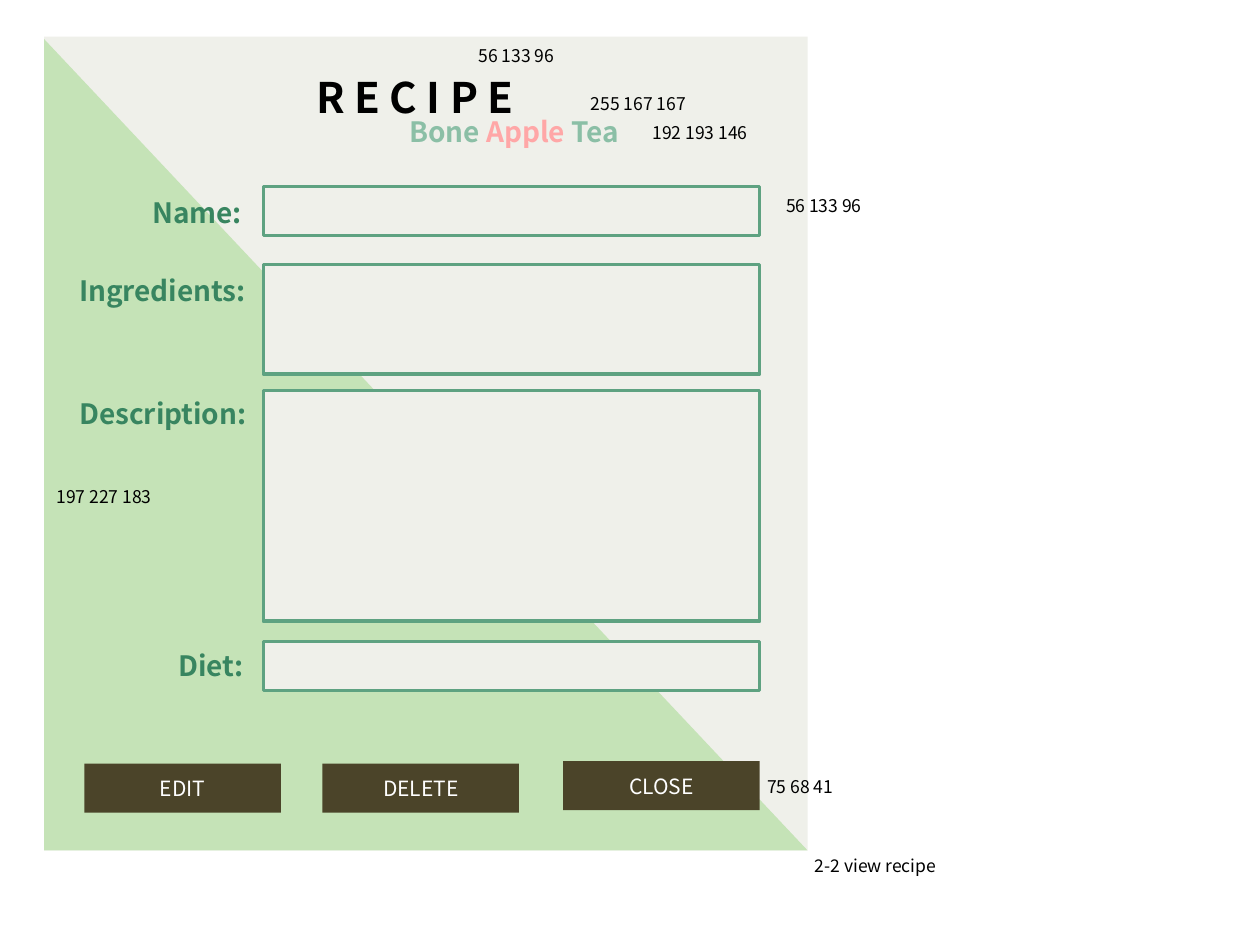
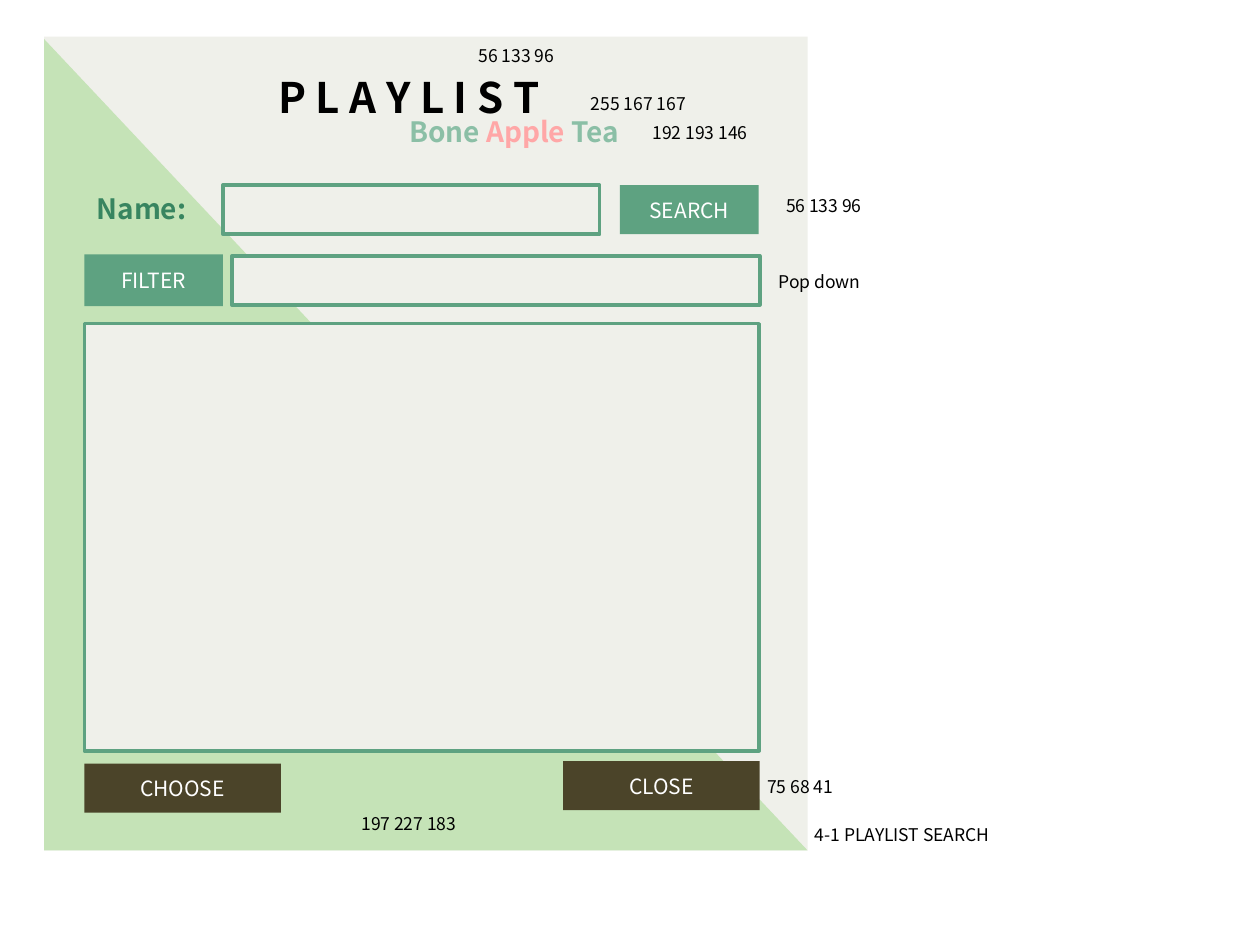
"""Build two screen mock-ups of a recipe app: recipe view and playlist search."""
from dataclasses import dataclass
from typing import Optional

from pptx import Presentation
from pptx.dml.color import RGBColor
from pptx.enum import shapes, text
from pptx.util import Pt

FONT = "Noto Sans CJK KR"
BLACK = RGBColor(0x00, 0x00, 0x00)
WHITE = RGBColor(0xFF, 0xFF, 0xFF)
PAPER = RGBColor(0xEF, 0xF0, 0xEA)
LEAF = RGBColor(0xC5, 0xE3, 0xB7)
GREEN = RGBColor(0x38, 0x85, 0x60)
SAGE = RGBColor(0x5E, 0xA2, 0x81)
MINT = RGBColor(0x8B, 0xBF, 0xA6)
PINK = RGBColor(0xFF, 0xA7, 0xA7)
BROWN = RGBColor(0x4B, 0x44, 0x29)

RECT = shapes.MSO_SHAPE.RECTANGLE
WEDGE = shapes.MSO_SHAPE.RIGHT_TRIANGLE
EDGE = 48.2
FIELD = 150.5
SPAN = 283.7
ROW = 28.1
WIDE = 112.3
SLIM = 79.2


@dataclass(frozen=True)
class Box:
    x: float
    y: float
    w: float
    h: float

    def place(self) -> tuple:
        return Pt(self.x), Pt(self.y), Pt(self.w), Pt(self.h)


@dataclass(frozen=True)
class Note:
    words: str
    x: float
    y: float
    w: float


@dataclass(frozen=True)
class Label:
    words: str
    x: float
    y: float
    w: float


@dataclass(frozen=True)
class Button:
    words: str
    box: Box
    fill: RGBColor = BROWN


@dataclass(frozen=True)
class Screen:
    title: str
    head: Box
    labels: list[Label]
    fields: list[Box]
    buttons: list[Button]
    notes: list[Note]


def style(para, size: float, color: Optional[RGBColor], bold: bool = False) -> None:
    font = para.font
    font.name, font.size, font.bold = FONT, Pt(size), bold
    if color is not None:
        font.color.rgb = color


def draw_shape(slide, kind, box: Box, fill: RGBColor, line: Optional[RGBColor] = None):
    shape = slide.shapes.add_shape(kind, *box.place())
    shape.shadow.inherit = False
    shape.fill.solid()
    shape.fill.fore_color.rgb = fill
    if line is None:
        shape.line.fill.background()
    else:
        shape.line.color.rgb = line
        shape.line.width = Pt(2)
    return shape


def add_box(slide, box: Box, wrap: bool = True):
    frame = slide.shapes.add_textbox(*box.place()).text_frame
    frame.word_wrap = wrap
    frame.auto_size = text.MSO_AUTO_SIZE.SHAPE_TO_FIT_TEXT
    return frame.paragraphs[0]


def draw_title(slide, words: str, box: Box) -> None:
    title = slide.shapes.title
    title.left, title.top, title.width, title.height = box.place()
    frame = title.text_frame
    frame.text = words
    frame.word_wrap = True
    frame.auto_size = text.MSO_AUTO_SIZE.NONE
    frame.vertical_anchor = text.MSO_ANCHOR.TOP
    para = frame.paragraphs[0]
    para.alignment = text.PP_ALIGN.LEFT
    style(para, 24, BLACK, True)
    title.element.getparent().append(title.element)


def draw_brand(slide) -> None:
    para = add_box(slide, Box(226.8, 61.9, 139, 26.6))
    style(para, 16, None, True)
    for words, color in (("Bone ", MINT), ("Apple", PINK), (" Tea", MINT)):
        run = para.add_run()
        run.text = words
        run.font.color.rgb = color


def draw_label(slide, label: Label) -> None:
    para = add_box(slide, Box(label.x, label.y, label.w, 26.6))
    para.text = label.words
    style(para, 16, GREEN, True)


def draw_note(slide, note: Note) -> None:
    para = add_box(slide, Box(note.x, note.y, note.w, 19.4), False)
    para.text = note.words
    style(para, 10, BLACK)


def draw_button(slide, button: Button) -> None:
    frame = draw_shape(slide, RECT, button.box, button.fill).text_frame
    frame.vertical_anchor = text.MSO_ANCHOR.MIDDLE
    para = frame.paragraphs[0]
    para.text = button.words
    para.alignment = text.PP_ALIGN.CENTER
    style(para, 12, WHITE)


SHARED = [
    Note("56 133 96", 266.4, 22.3, 60.5),
    Note("255 167 167", 330.5, 49.7, 71.3),
    Note("192 193 146", 365.8, 66.2, 71.3),
    Note("56 133 96", 442.1, 108, 60.5),
    Note("75 68 41 ", 431.3, 439.9, 58.3),
]
CLOSE = Button("CLOSE", Box(321.8, 434.9, WIDE, ROW))

SCREENS = [
    Screen(
        "R E C I P E",
        Box(173.5, 37.4, 140.4, 36),
        [
            Label("Name:", 79.9, 108, 69.8),
            Label("Ingredients:", 38.2, 152.6, 110.2),
            Label("Description:", 38.2, 223.2, 113),
            Label("Diet:", 95, 367.2, 54.7),
        ],
        [Box(FIELD, y, SPAN, h) for y, h in
         ((106.6, ROW), (151.2, 62.6), (223.2, 131.8), (366.5, ROW))],
        [
            Button("EDIT", Box(EDGE, 436.3, WIDE, ROW)),
            Button("DELETE", Box(184.3, 436.3, WIDE, ROW)),
        ],
        [
            Note("197 227 183", 25.2, 274.3, 71.3),
            Note("2-2 view recipe", 458.6, 485.3, 85),
        ],
    ),
    Screen(
        "P L A Y L I S T",
        Box(151.9, 37.4, 187.2, 36),
        [Label("Name:", EDGE, 105.8, 69.8)],
        [
            Box(127.4, 105.8, 215.3, ROW),
            Box(132.5, 146.2, 301.7, ROW),
            Box(EDGE, 185, 385.6, 244.1),
        ],
        [
            Button("SEARCH", Box(354.3, 105.8, SLIM, ROW), SAGE),
            Button("FILTER", Box(EDGE, 145.4, SLIM, 29.5), SAGE),
            Button("CHOOSE", Box(EDGE, 436.3, WIDE, ROW)),
        ],
        [
            Note("Pop down", 437.8, 151.2, 61.2),
            Note("197 227 183", 199.4, 460.8, 71.3),
            Note("4-1 PLAYLIST SEARCH", 458.6, 467.3, 115.2),
        ],
    ),
]


def draw_screen(deck, screen: Screen) -> None:
    slide = deck.slides.add_slide(deck.slide_layouts.get_by_name("Title Only"))
    draw_shape(slide, RECT, Box(25.2, 20.9, 436.3, 465.1), PAPER)
    draw_shape(slide, WEDGE, Box(25.2, 22.3, 436.3, 463.7), LEAF)
    draw_title(slide, screen.title, screen.head)
    draw_brand(slide)
    for label in screen.labels:
        draw_label(slide, label)
    for field in screen.fields:
        draw_shape(slide, RECT, field, PAPER, SAGE)
    for button in [*screen.buttons, CLOSE]:
        draw_button(slide, button)
    for note in SHARED + screen.notes:
        draw_note(slide, note)


def main() -> None:
    deck = Presentation()
    deck.slide_width, deck.slide_height = Pt(720), Pt(540)
    for screen in SCREENS:
        draw_screen(deck, screen)
    deck.save("out.pptx")


main()
